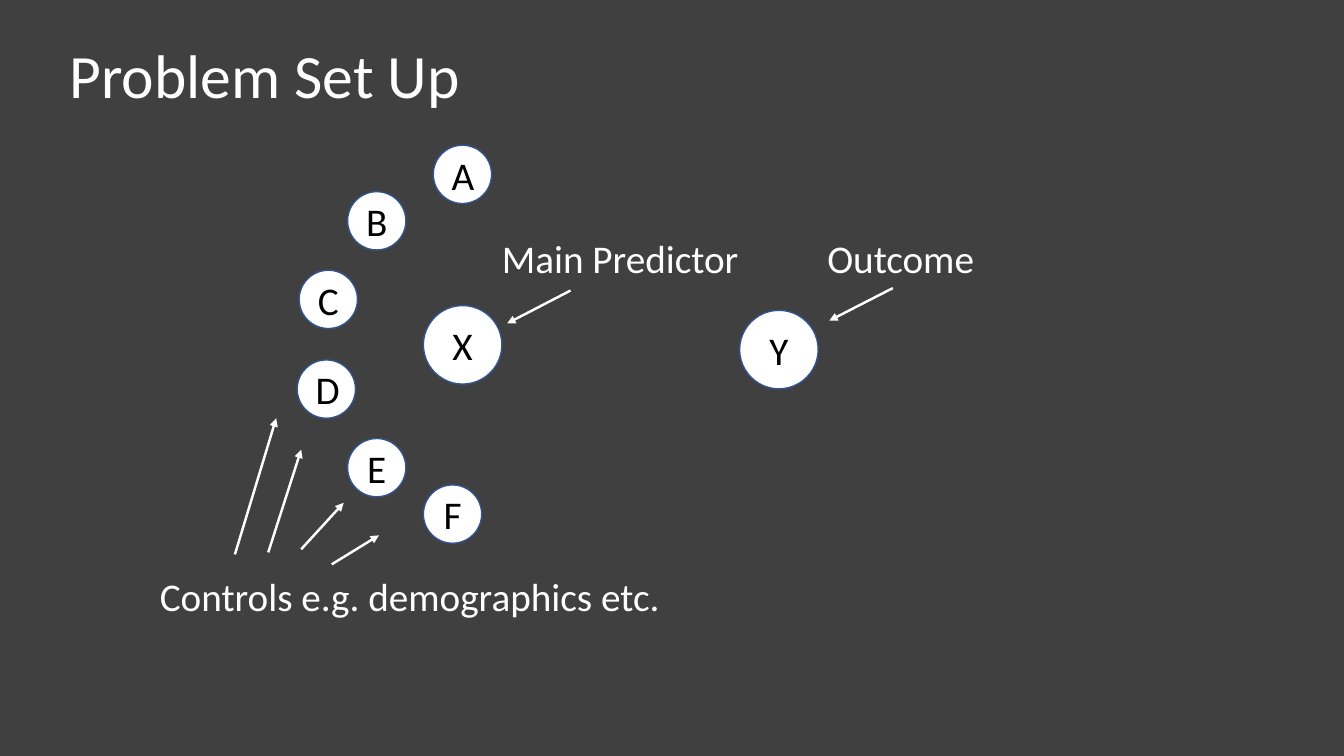
from lxml import etree
from pptx import Presentation
from pptx.dml.color import RGBColor
from pptx.enum.shapes import MSO_CONNECTOR, MSO_SHAPE
from pptx.enum.text import MSO_ANCHOR, MSO_AUTO_SIZE, PP_ALIGN
from pptx.oxml.ns import qn
from pptx.util import Cm, Pt

OVAL = MSO_SHAPE.OVAL
STRAIGHT = MSO_CONNECTOR.STRAIGHT
MIDDLE = MSO_ANCHOR.MIDDLE
LEFT, CENTER = PP_ALIGN.LEFT, PP_ALIGN.CENTER
NO_FIT, GROW = MSO_AUTO_SIZE.NONE, MSO_AUTO_SIZE.SHAPE_TO_FIT_TEXT

FONT = "Calibri"
COLORS = {"background": "404040", "white": "FFFFFF", "outline": "325491", "black": "000000"}

# Lengths in centimetres
TITLE = "Problem Set Up"
TITLE_BOX = (1.5, 0.15, 29.21, 3.68)
MAIN_SIZE, CONTROL_SIZE = 1.98, 1.47
LABEL_HEIGHT = 1.45

# Letter, left, top
MAIN_NODES = [("X", 10.67, 7.7), ("Y", 18.64, 7.82)]
CONTROL_NODES = [
    ("A", 10.92, 3.66),
    ("B", 8.76, 4.83),
    ("C", 7.54, 6.81),
    ("D", 7.49, 9.07),
    ("E", 8.76, 11.05),
    ("F", 10.67, 12.22),
]
# Text, left, top, width
LABELS = [
    ("Main Predictor", 12.4, 5.77, 6.55),
    ("Outcome", 20.6, 5.77, 4.24),
    ("Controls e.g. demographics etc.", 3.78, 14.3, 13.26),
]
# Start x, start y, end x, end y
ARROWS = [
    (14.38, 7.32, 12.78, 8.15),
    (22.5, 7.26, 20.9, 8.08),
    (5.92, 13.97, 6.96, 10.54),
    (6.76, 13.92, 7.59, 11.33),
    (7.59, 13.84, 8.66, 12.67),
    (8.36, 14.22, 9.55, 13.49),
]


def color(name):
    return RGBColor.from_string(COLORS[name])


def to_cm(lengths):
    return [Cm(length) for length in lengths]


def write(shape, text, size, color_name, alignment=LEFT):
    paragraph = shape.text_frame.paragraphs[0]
    paragraph.alignment = alignment
    run = paragraph.add_run()
    run.text = text
    run.font.name = FONT
    run.font.size = Pt(size)
    run.font.color.rgb = color(color_name)
    return paragraph


def add_title(slide):
    title = slide.shapes.title
    title.left, title.top, title.width, title.height = to_cm(TITLE_BOX)
    title.text_frame.auto_size = NO_FIT
    title.text_frame.vertical_anchor = MIDDLE
    write(title, TITLE, 44, "white").line_spacing = 0.9


def add_node(slide, letter, left, top, diameter):
    node = slide.shapes.add_shape(OVAL, *to_cm((left, top, diameter, diameter)))
    node.shadow.inherit = False
    node.fill.solid()
    node.fill.fore_color.rgb = color("white")
    node.line.color.rgb = color("outline")
    node.line.width = Pt(1)
    node.text_frame.vertical_anchor = MIDDLE
    write(node, letter, 28, "black", CENTER)


def add_label(slide, text, left, top, width):
    label = slide.shapes.add_textbox(*to_cm((left, top, width, LABEL_HEIGHT)))
    label.text_frame.word_wrap = False
    label.text_frame.auto_size = GROW
    write(label, text, 28, "white")


def add_arrow(slide, ends):
    arrow = slide.shapes.add_connector(STRAIGHT, *to_cm(ends))
    arrow.line.color.rgb = color("white")
    arrow.line.width = Pt(1.75)
    etree.SubElement(arrow.line._get_or_add_ln(), qn("a:tailEnd"), type="triangle")
    etree.SubElement(arrow._element.spPr, qn("a:effectLst"))


def main():
    presentation = Presentation()
    presentation.slide_width, presentation.slide_height = to_cm((33.87, 19.05))
    slide = presentation.slides.add_slide(presentation.slide_layouts.get_by_name("Title Only"))
    slide.background.fill.solid()
    slide.background.fill.fore_color.rgb = color("background")

    add_title(slide)
    for nodes, diameter in ((MAIN_NODES, MAIN_SIZE), (CONTROL_NODES, CONTROL_SIZE)):
        for letter, left, top in nodes:
            add_node(slide, letter, left, top, diameter)
    for label in LABELS:
        add_label(slide, *label)
    for ends in ARROWS:
        add_arrow(slide, ends)
    presentation.save("out.pptx")


if __name__ == "__main__":
    main()
